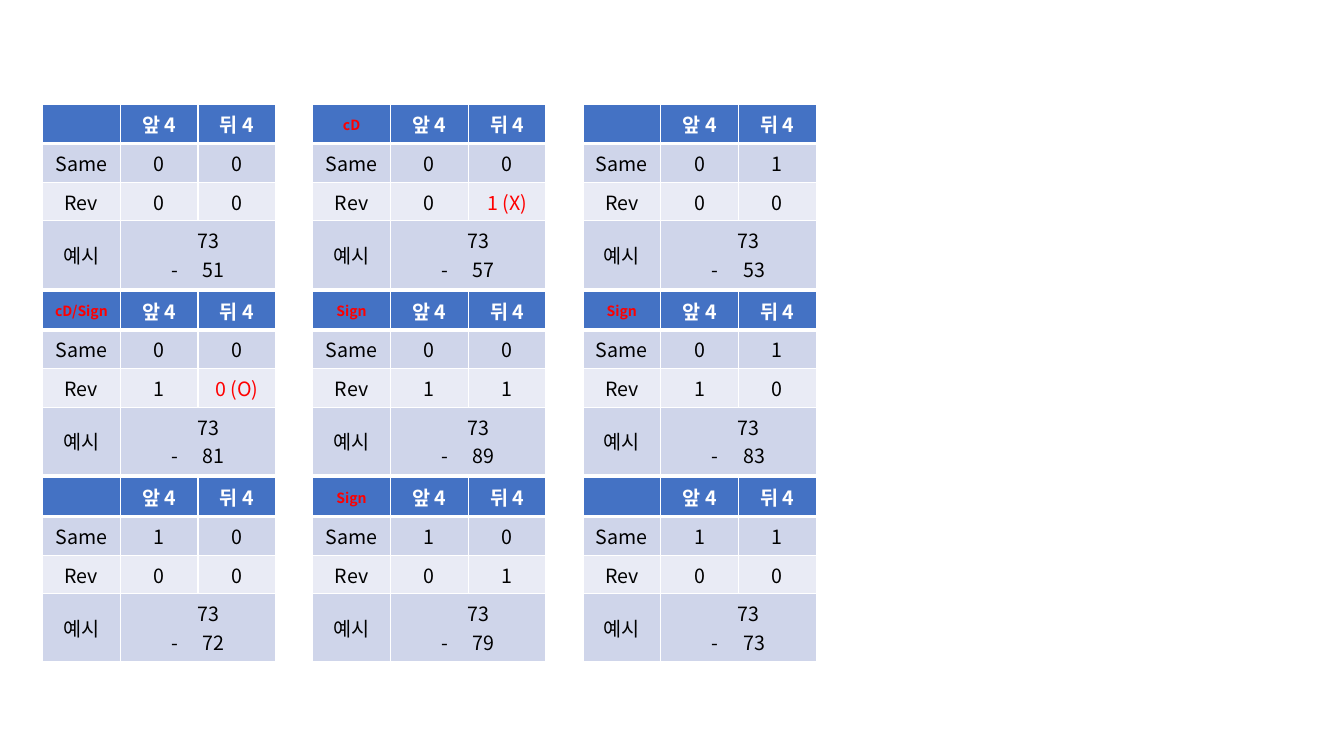
from dataclasses import dataclass

from lxml.etree import SubElement
from pptx import Presentation
from pptx.dml.color import RGBColor
from pptx.enum.text import MSO_ANCHOR, PP_ALIGN
from pptx.oxml.ns import qn
from pptx.util import Cm, Pt


@dataclass(frozen=True)
class Theme:
    font: str = "Noto Sans CJK KR"
    header: str = "4472C4"
    band: str = "CFD5EA"
    light: str = "E9EBF5"
    white: str = "FFFFFF"
    text: str = "000000"
    accent: str = "FF0000"
    body_size: int = 14
    tag_size: int = 10


T = Theme()


def style_cell(cell, fill, top=1, bottom=1):
    """Give the cell white borders (widths in points), a fill and middle anchoring."""
    tc_pr = cell._tc.get_or_add_tcPr()
    for side, width in {"lnL": 1, "lnR": 1, "lnT": top, "lnB": bottom}.items():
        ln = SubElement(tc_pr, qn(f"a:{side}"), w=str(Pt(width)))
        SubElement(SubElement(ln, qn("a:solidFill")), qn("a:srgbClr"), val=T.white)
    cell.fill.solid()
    cell.fill.fore_color.rgb = RGBColor.from_string(fill)
    cell.vertical_anchor = MSO_ANCHOR.MIDDLE


def write(p, text, color=T.text, size=T.body_size, bold=False):
    p.alignment = PP_ALIGN.CENTER
    if not text:
        SubElement(p._p, qn("a:endParaRPr"), sz=str(size * 100))
        return
    r = p.add_run()
    r.text = text
    for name, value in {"size": Pt(size), "bold": bold, "name": T.font}.items():
        setattr(r.font, name, value)
    r.font.color.rgb = RGBColor.from_string(color)
    SubElement(r._r.get_or_add_rPr(), qn("a:ea"), typeface=T.font)


LEFT, TOP = 1.07, 2.64
STEP_X, STEP_Y = 6.81, 4.7
COL_WIDTH = 1.96
ROW_HEIGHTS = (0.97, 0.97, 0.97, 1.35)
MINUEND = "73"

# Tag, Same values, Rev values, number subtracted
cases = [
    ("", ("0", "0"), ("0", "0"), "51"),
    ("cD", ("0", "0"), ("0", "1 (X)"), "57"),
    ("", ("0", "1"), ("0", "0"), "53"),
    ("cD/Sign", ("0", "0"), ("1", "0 (O)"), "81"),
    ("Sign", ("0", "0"), ("1", "1"), "89"),
    ("Sign", ("0", "1"), ("1", "0"), "83"),
    ("", ("1", "0"), ("0", "0"), "72"),
    ("Sign", ("1", "0"), ("0", "1"), "79"),
    ("", ("1", "1"), ("0", "0"), "73"),
]

prs = Presentation()
prs.slide_width, prs.slide_height = Cm(33.87), Cm(19.05)
s = prs.slides.add_slide(prs.slide_layouts[6])

for i, (tag, same, rev, subtrahend) in enumerate(cases):
    grid_row, grid_col = divmod(i, 3)
    table = s.shapes.add_table(
        4, 3,
        Cm(LEFT + grid_col * STEP_X), Cm(TOP + grid_row * STEP_Y),
        Cm(3 * COL_WIDTH), Cm(sum(ROW_HEIGHTS)),
    ).table
    for column in table.columns:
        column.width = Cm(COL_WIDTH)
    for row, height in zip(table.rows, ROW_HEIGHTS):
        row.height = Cm(height)

    for row, fill in enumerate((T.header, T.band, T.light, T.band)):
        for col in range(3):
            style_cell(table.cell(row, col), fill,
                       top=3 if row == 1 else 1, bottom=3 if row == 0 else 1)

    write(table.cell(0, 0).text_frame.paragraphs[0], tag, T.accent,
          T.tag_size if tag else T.body_size, True)
    for col, heading in enumerate(("앞 4", "뒤 4"), 1):
        write(table.cell(0, col).text_frame.paragraphs[0], heading, T.white, bold=True)

    for row, values in enumerate((("Same", *same), ("Rev", *rev)), 1):
        for col, value in enumerate(values):
            write(table.cell(row, col).text_frame.paragraphs[0], value,
                  T.accent if "(" in value else T.text)

    write(table.cell(3, 0).text_frame.paragraphs[0], "예시")
    example = table.cell(3, 1)
    example.merge(table.cell(3, 2))
    tf = example.text_frame
    p = tf.paragraphs[0]
    write(p, MINUEND)
    p._p.get_or_add_pPr().set("marL", str(Cm(0.51)))
    p = tf.add_paragraph()
    write(p, subtrahend)
    p_pr = p._p.get_or_add_pPr()
    p_pr.set("marL", str(Cm(0.79)))
    p_pr.set("indent", str(-Cm(0.79)))
    SubElement(p_pr, qn("a:buFont"), typeface=T.font)
    SubElement(p_pr, qn("a:buChar"), char="-")

prs.save("out.pptx")
